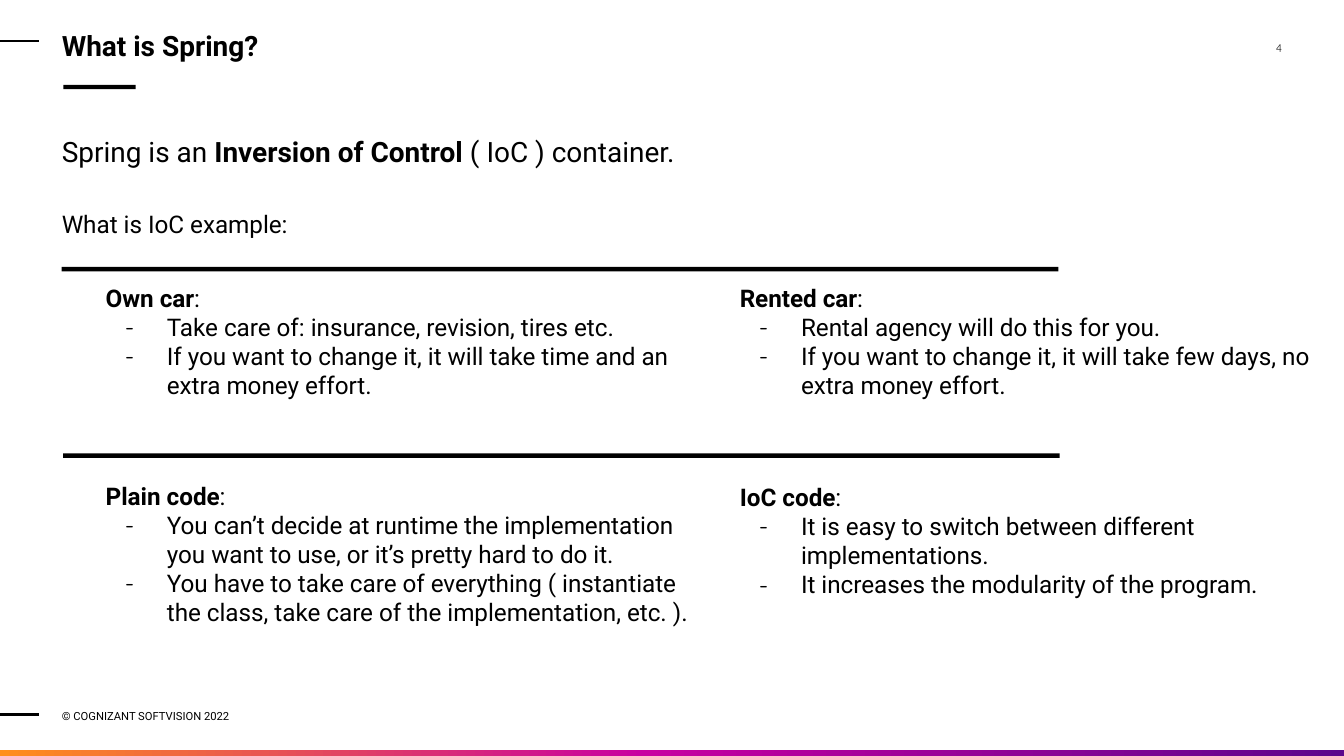
"""Build the "What is Spring?" slide with its car and code comparisons."""
from copy import deepcopy

from lxml import etree
from pptx import Presentation
from pptx.dml.color import RGBColor
from pptx.enum import shapes, text
from pptx.oxml.ns import qn
from pptx.util import Pt

BLACK = "000000"


def color(value):
    """Return the colour for a hex string."""
    return RGBColor.from_string(value)


def write(paragraph, runs, size, font="Roboto", fill=BLACK):
    """Add (words, bold) runs to a paragraph."""
    for words, bold in runs:
        run = paragraph.add_run()
        run.text = words
        run.font.name = font
        run.font.size = Pt(size)
        run.font.bold = bold
        run.font.color.rgb = color(fill)


presentation = Presentation()
presentation.slide_width, presentation.slide_height = Pt(720), Pt(405)
slide = presentation.slides.add_slide(presentation.slide_layouts[5])

title = slide.shapes.title
title.left, title.top, title.width, title.height = Pt(33.1), Pt(13.7), Pt(577.4), Pt(20.9)
frame = title.text_frame
frame.auto_size = text.MSO_AUTO_SIZE.NONE
frame.word_wrap = True
frame.vertical_anchor = text.MSO_ANCHOR.MIDDLE
frame.margin_left = 0
frame.margin_top = frame.margin_right = frame.margin_bottom = Pt(7.2)
frame.paragraphs[0].alignment = text.PP_ALIGN.LEFT
write(frame.paragraphs[0], [("What is Spring?", True)], 15)

for y in (22, 382.9):
    line = slide.shapes.add_connector(shapes.MSO_CONNECTOR.STRAIGHT, 0, Pt(y), Pt(20.9), Pt(y))
    line.line.color.rgb = color(BLACK)
    line.line.width = Pt(1.5)
    etree.SubElement(line._element.spPr, qn("a:effectLst"))

for x, y, width, height in [
    (34, 45.4, 38.7, 2.4),
    (33.1, 143, 534, 2.4),
    (33.8, 242.9, 534, 2.4),
    (0, 401.9, 720, 3),
]:
    bar = slide.shapes.add_shape(shapes.MSO_SHAPE.RECTANGLE, Pt(x), Pt(y), Pt(width), Pt(height))
    bar.shadow.inherit = False
    bar.fill.solid()
    bar.fill.fore_color.rgb = color(BLACK)
    bar.line.fill.background()

footer_bar = bar
footer_bar.fill.gradient()
footer_bar.fill.gradient_angle = 0
stop_list = footer_bar._element.spPr.find(".//" + qn("a:gsLst"))
stop_list.insert(1, deepcopy(stop_list[0]))
stops = [(0, "FF8F1C"), (0.48, "C800A1"), (1, "5C068C")]
for stop, (position, value) in zip(footer_bar.fill.gradient_stops, stops):
    stop.position = position
    stop.color.rgb = color(value)

left, middle = text.PP_ALIGN.LEFT, text.MSO_ANCHOR.MIDDLE
for x, y, width, height, runs, size, font, fill, alignment, anchor in [
    (643.7, 22.3, 43.2, 31, [("4", False)], 6, "Quicksand", "212121",
     text.PP_ALIGN.RIGHT, text.MSO_ANCHOR.TOP),
    (33.1, 378, 159.8, 11.5, [("© COGNIZANT SOFTVISION 2022", False)], 6, "Roboto", BLACK,
     left, middle),
    (33.1, 58, 653.8, 46.1,
     [("Spring is an ", False), ("Inversion of Control", True), (" ( IoC ) container.", False)],
     15, "Roboto", BLACK, left, middle),
    (33.1, 96.9, 653.8, 46.1, [("What is IoC example:", False)], 13, "Roboto", BLACK, left, middle),
]:
    box = slide.shapes.add_textbox(Pt(x), Pt(y), Pt(width), Pt(height))
    frame = box.text_frame
    frame.word_wrap = True
    frame.vertical_anchor = anchor
    frame.margin_left = frame.margin_top = frame.margin_right = frame.margin_bottom = 0
    frame.paragraphs[0].alignment = alignment
    write(frame.paragraphs[0], runs, size, font, fill)

for x, y, height, heading, points in [
    (53.4, 142.9, 79.9, "Own car", [
        "Take care of: insurance, revision, tires etc.",
        "If you want to change it, it will take time and an extra money effort."]),
    (393.1, 142.9, 79.9, "Rented car", [
        "Rental agency will do this for you.",
        "If you want to change it, it will take few days, no extra money effort."]),
    (53.4, 243, 107.3, "Plain code", [
        "You can’t decide at runtime the implementation you want to use, "
        "or it’s pretty hard to do it.",
        "You have to take care of everything ( instantiate the class, "
        "take care of the implementation, etc. )."]),
    (393.1, 243, 92.9, "IoC code", [
        "It is easy to switch between different implementations.",
        "It increases the modularity of the program."]),
]:
    box = slide.shapes.add_textbox(Pt(x), Pt(y), Pt(326.8), Pt(height))
    frame = box.text_frame
    frame.word_wrap = True
    frame.vertical_anchor = middle
    frame.margin_left = frame.margin_top = frame.margin_right = frame.margin_bottom = 0
    paragraph = frame.paragraphs[0]
    paragraph._p.get_or_add_pPr().set("marL", str(Pt(3.2)))
    write(paragraph, [(heading, True), (":", False)], 13)
    for point in points:
        paragraph = frame.add_paragraph()
        properties = paragraph._p.get_or_add_pPr()
        properties.set("marL", str(Pt(36)))
        properties.set("indent", str(-Pt(22.5)))
        bullet_color = etree.SubElement(properties, qn("a:buClr"))
        etree.SubElement(bullet_color, qn("a:srgbClr"), val=BLACK)
        etree.SubElement(properties, qn("a:buFont"), typeface="Quicksand")
        etree.SubElement(properties, qn("a:buChar"), char="-")
        write(paragraph, [(point, False)], 13)

presentation.save("out.pptx")
